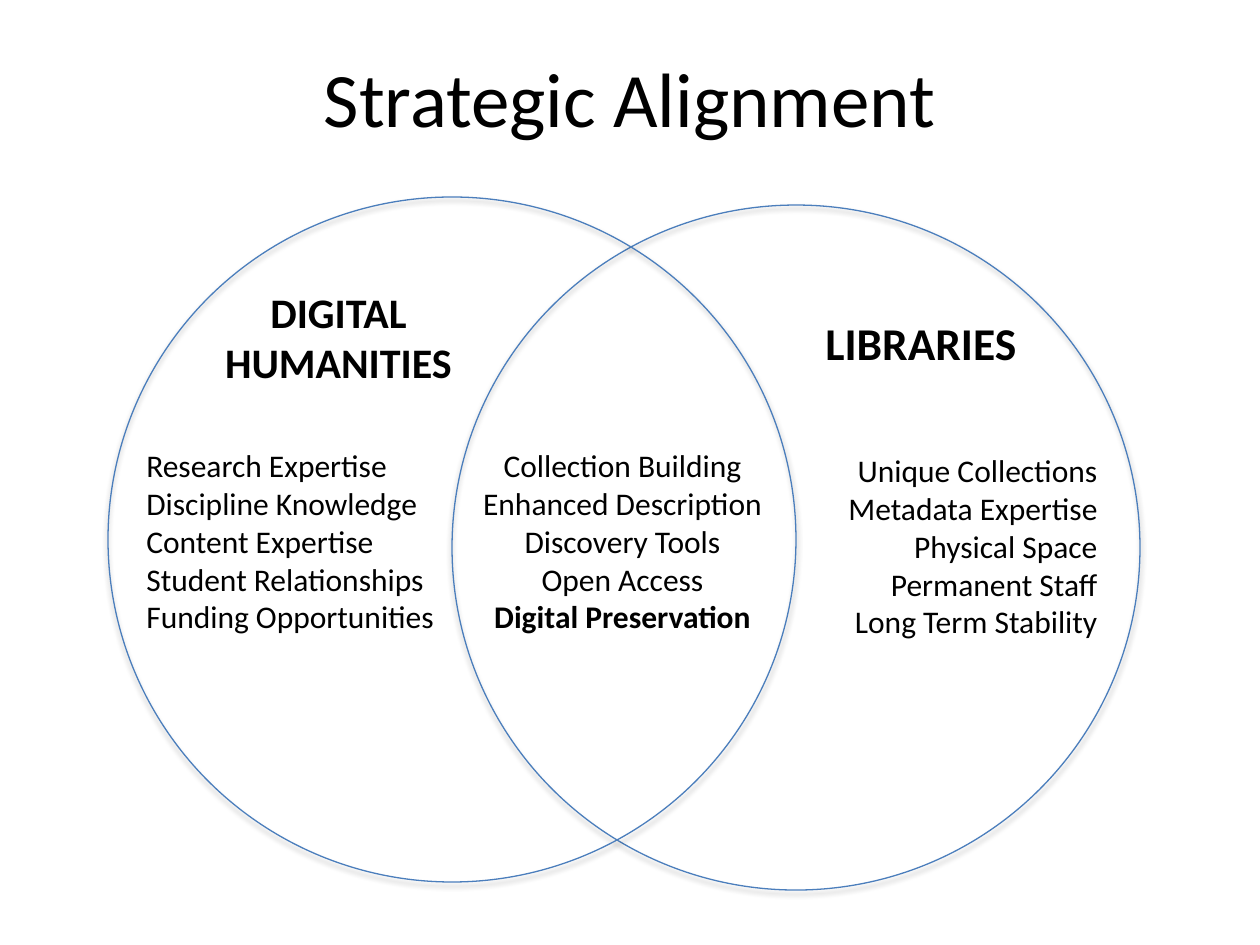
"""Build the Strategic Alignment Venn diagram slide."""
from dataclasses import dataclass

from lxml.etree import SubElement
from pptx import Presentation
from pptx.dml.color import RGBColor
from pptx.enum.shapes import MSO_SHAPE
from pptx.enum.text import MSO_ANCHOR, MSO_AUTO_SIZE, PP_ALIGN
from pptx.oxml.ns import qn
from pptx.slide import Slide
from pptx.util import Emu, Pt

FONT = "Calibri"
BLACK = "000000"
OUTLINE = "4B7EBC"
PX_PER_INCH = 126
CIRCLE_WIDTH, CIRCLE_HEIGHT = 688, 685


@dataclass(frozen=True)
class Label:
    """A block of text lines, with its place in px."""
    left: int
    top: int
    width: int
    height: int
    lines: tuple[str, ...]
    align: PP_ALIGN
    size: int = 18
    bold_lines: tuple[str, ...] = ()
    wrap: bool = True


@dataclass(frozen=True)
class Circle:
    """The top left corner of a Venn circle in px."""
    left: int
    top: int


CIRCLES = (Circle(452, 205), Circle(108, 197))
LABELS = (
    Label(469, 440, 307, 204,
          ("Collection Building", "Enhanced Description", "Discovery Tools",
           "Open Access", "Digital Preservation"),
          PP_ALIGN.CENTER, bold_lines=("Digital Preservation",)),
    Label(134, 440, 316, 204,
          ("Research Expertise", "Discipline Knowledge", "Content Expertise",
           "Student Relationships", "Funding Opportunities"),
          PP_ALIGN.LEFT, wrap=False),
    Label(832, 445, 278, 204,
          ("Unique Collections", "Metadata Expertise", "Physical Space",
           "Permanent Staff", "Long Term Stability"),
          PP_ALIGN.RIGHT, wrap=False),
    Label(205, 280, 267, 115, ("DIGITAL HUMANITIES",), PP_ALIGN.CENTER, 24,
          ("DIGITAL HUMANITIES",)),
    Label(813, 309, 231, 68, ("LIBRARIES",), PP_ALIGN.LEFT, 26, ("LIBRARIES",)),
)


def px(length: int) -> Emu:
    """Turn px into EMU."""
    return Emu(round(length * 914400 / PX_PER_INCH))


def color(value: str) -> RGBColor:
    """Turn a hex string into a colour."""
    return RGBColor.from_string(value)


def add_span(para, text: str, size: int, bold: bool = False) -> None:
    """Add one formatted run to a paragraph."""
    span = para.add_run()
    span.text = text
    span.font.name = FONT
    span.font.size = Pt(size)
    span.font.bold = bold
    span.font.color.rgb = color(BLACK)


def set_title(page: Slide, text: str) -> None:
    """Place and fill the title placeholder."""
    title = page.shapes.title
    title.left, title.top, title.width, title.height = map(px, (63, 29, 1134, 135))
    title.text_frame.vertical_anchor = MSO_ANCHOR.MIDDLE
    para = title.text_frame.paragraphs[0]
    para.alignment = PP_ALIGN.CENTER
    add_span(para, text, 44)


def add_circle(page: Slide, circle: Circle) -> None:
    """Draw an outlined circle with a soft shadow below it."""
    shape = page.shapes.add_shape(MSO_SHAPE.OVAL, px(circle.left), px(circle.top),
                                  px(CIRCLE_WIDTH), px(CIRCLE_HEIGHT))
    shape.fill.background()
    shape.line.color.rgb = color(OUTLINE)
    shape.line.width = Pt(0.75)
    shape.shadow.inherit = False
    effects = shape.element.spPr.find(qn("a:effectLst"))
    shadow = SubElement(effects, qn("a:outerShdw"), blurRad=str(Pt(3.1)),
                        dist=str(Pt(1.8)), dir="5400000", rotWithShape="0")
    tint = SubElement(shadow, qn("a:srgbClr"), val=BLACK)
    SubElement(tint, qn("a:alpha"), val="35000")


def add_label(page: Slide, label: Label) -> None:
    """Write a label, one paragraph a line."""
    box = page.shapes.add_textbox(px(label.left), px(label.top),
                                  px(label.width), px(label.height))
    frame = box.text_frame
    frame.word_wrap = label.wrap
    frame.auto_size = MSO_AUTO_SIZE.SHAPE_TO_FIT_TEXT
    for index, line in enumerate(label.lines):
        para = frame.add_paragraph() if index else frame.paragraphs[0]
        para.alignment = label.align
        add_span(para, line, label.size, line in label.bold_lines)


def main() -> None:
    """Build and save the deck."""
    deck = Presentation()
    deck.slide_width, deck.slide_height = px(1260), px(945)
    page = deck.slides.add_slide(deck.slide_layouts.get_by_name("Title Only"))
    set_title(page, "Strategic Alignment")
    for circle in CIRCLES:
        add_circle(page, circle)
    for label in LABELS:
        add_label(page, label)
    deck.save("out.pptx")


if __name__ == "__main__":
    main()
